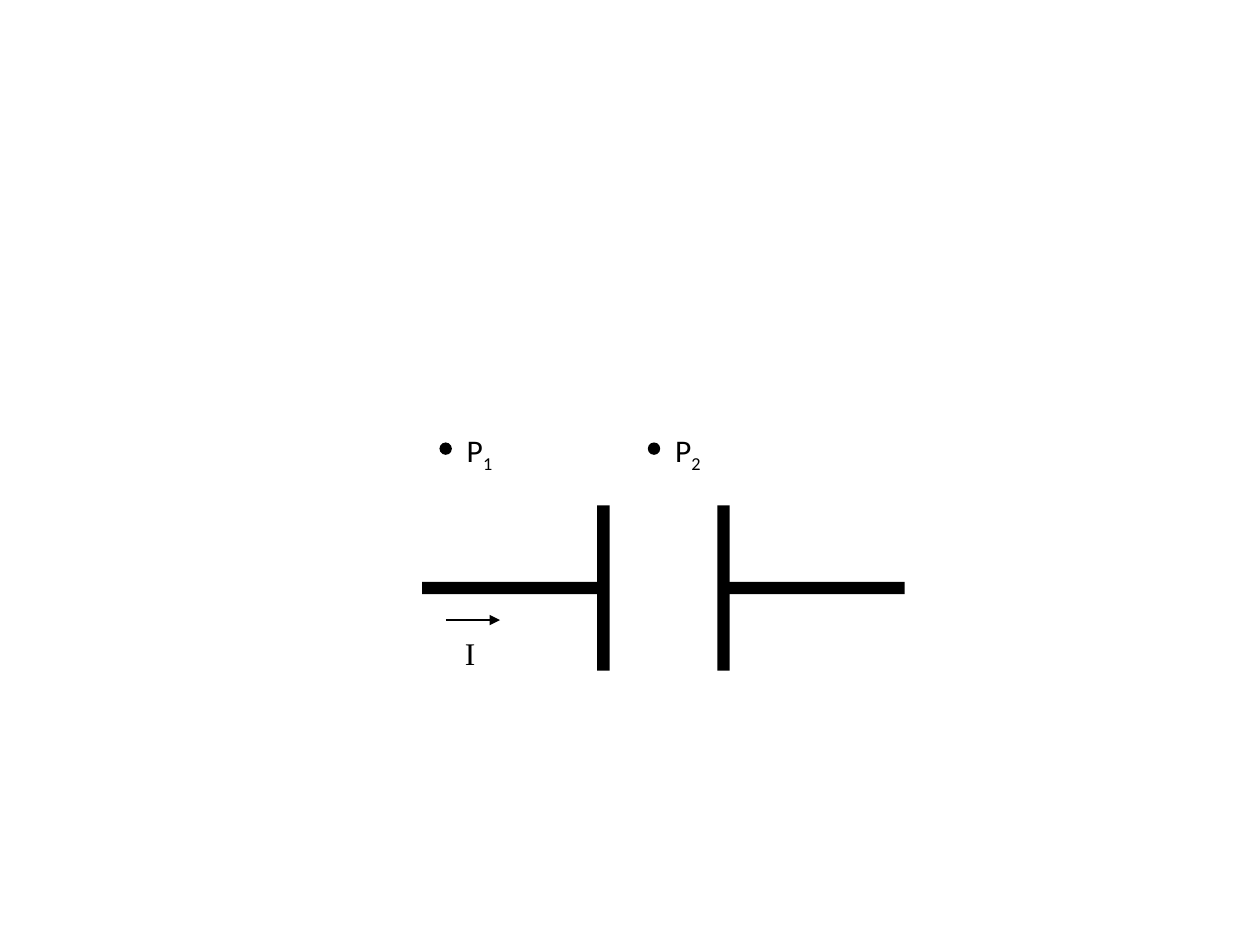
from lxml import etree
from pptx import Presentation
from pptx import util as u
from pptx.enum import shapes, text
from pptx.dml.color import RGBColor
from pptx.oxml.ns import qn

COLORS = {"ink": "000000"}
INK = RGBColor.from_string(COLORS["ink"])
BAR = 0.25  # thickness of plates and wires, diameter of points (cm)


def add_solid(s, kind, x, y, w, h):
    sp = s.shapes.add_shape(kind, u.Cm(x), u.Cm(y), u.Cm(w), u.Cm(h))
    sp.shadow.inherit = False
    sp.fill.solid()
    sp.fill.fore_color.rgb = INK
    sp.line.fill.background()
    return sp


def add_text(s, x, y, w, h, content, sub="", font="Calibri", size=18, wrap=True):
    sp = s.shapes.add_textbox(u.Cm(x), u.Cm(y), u.Cm(w), u.Cm(h))
    tf = sp.text_frame
    tf.word_wrap = wrap
    tf.auto_size = text.MSO_AUTO_SIZE.SHAPE_TO_FIT_TEXT
    p = tf.paragraphs[0]
    for part, base in ((content, None), (sub, "-25000")):
        if not part:
            continue
        r = p.add_run()
        r.text = part
        r.font.name = font
        r.font.size = u.Pt(size)
        r.font.color.rgb = INK
        if base:
            r.font._element.set("baseline", base)
    return sp


def draw_capacitor(s, x, y, w, h):
    """Two plates about the middle of the box, a wire out to each side."""
    rect = shapes.MSO_SHAPE.RECTANGLE
    plate_in, wire = 3.53, 3.61
    for plate_x in (x + plate_in, x + w - plate_in - BAR):
        add_solid(s, rect, plate_x, y, BAR, h)
    for wire_x in (x, x + w - wire):
        add_solid(s, rect, wire_x, y + (h - BAR) / 2, wire, BAR)


def draw_point(s, x, y, index):
    """A dot at the left of the box with its label P and index."""
    add_solid(s, shapes.MSO_SHAPE.OVAL, x, y + 0.36, BAR, BAR)
    add_text(s, x + 0.3, y, 1.09, 0.94, "P", sub=index)


def draw_current(s, x, y, w):
    """An arrow along the top of the box with the label I below."""
    arrow = s.shapes.add_connector(shapes.MSO_CONNECTOR.STRAIGHT,
                                   u.Cm(x), u.Cm(y), u.Cm(x + w), u.Cm(y))
    arrow.line.color.rgb = INK
    arrow.line.width = u.Pt(0.75)
    etree.SubElement(arrow.line._get_or_add_ln(), qn("a:tailEnd"), type="triangle")
    etree.SubElement(arrow._element.spPr, qn("a:effectLst"))
    add_text(s, x + 0.13, y + 0.15, 0.71, 0.94, "I",
             font="Times New Roman", wrap=False)


def main():
    prs = Presentation()
    prs.slide_width, prs.slide_height = u.Cm(25.4), u.Cm(19.05)
    s = prs.slides.add_slide(prs.slide_layouts[6])

    # Capacitor with its wires
    draw_capacitor(s, 8.51, 10.19, 9.73, 3.33)

    # Field points beside the wire and beside the gap
    for i in range(2):
        draw_point(s, 8.86 + 4.2 * i, 8.56, str(i + 1))

    # Current direction
    draw_current(s, 8.99, 12.5, 1.09)

    prs.save("out.pptx")


if __name__ == "__main__":
    main()
